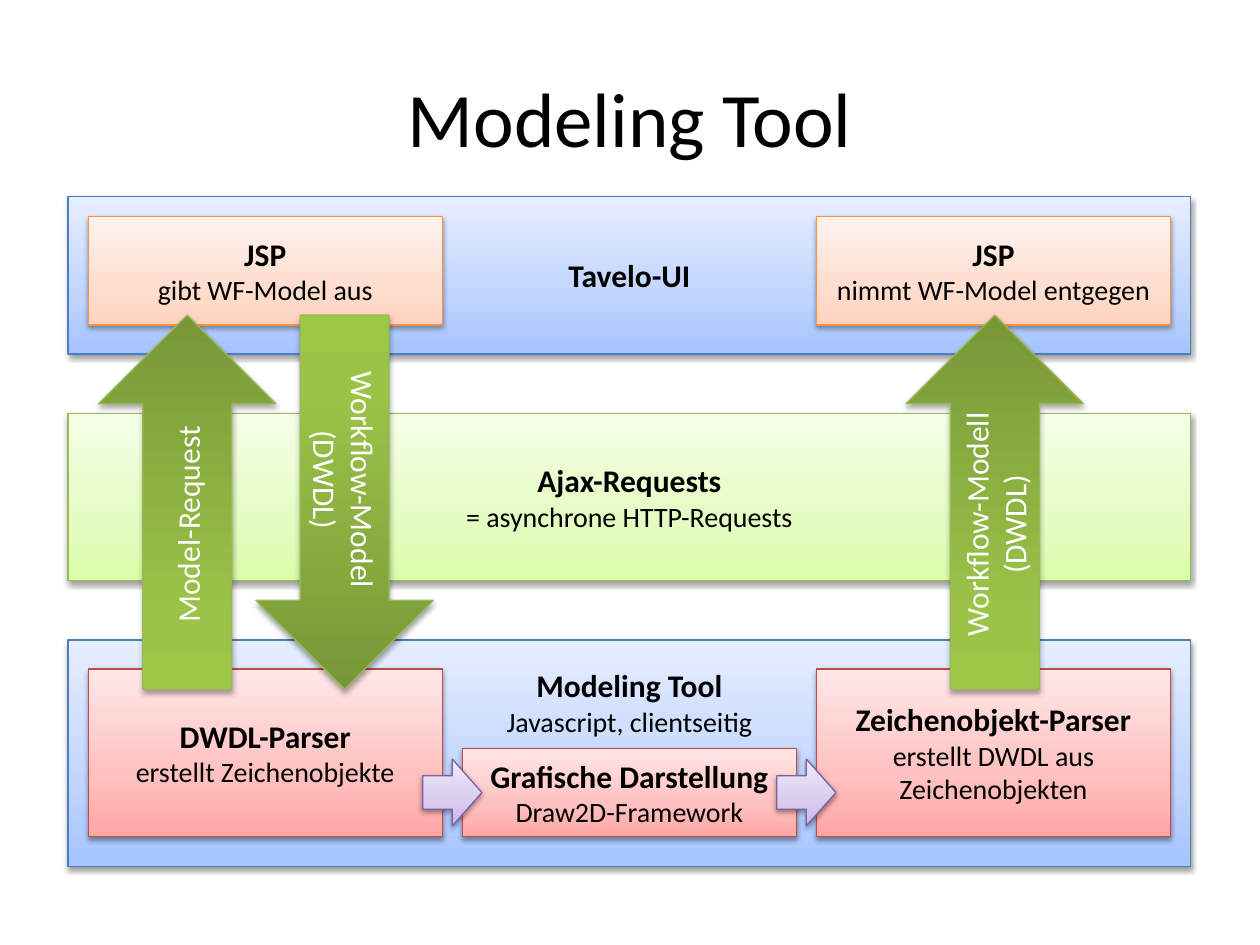
from collections import namedtuple

from lxml import etree
from pptx import Presentation
from pptx.dml.color import RGBColor
from pptx.enum import shapes, text
from pptx.oxml import ns
from pptx.util import Inches, Pt

Box = namedtuple("Box", "left top width height")
Style = namedtuple("Style", "stops line shadow_alpha shadow_distance")

BLACK = RGBColor(0x00, 0x00, 0x00)
WHITE = RGBColor(0xFF, 0xFF, 0xFF)


def pale_style(dark, middle, light, line):
    stops = ((0, RGBColor.from_string(dark)), (35, RGBColor.from_string(middle)),
             (100, RGBColor.from_string(light)))
    return Style(stops, RGBColor.from_string(line), 38, 1.6)


BLUE = pale_style("A4C4FF", "BFD4FF", "E6EEFF", "4B7EBC")
GREEN = pale_style("DAFDA7", "E4FCC2", "F5FFE7", "98B955")
RED = pale_style("FFA6A5", "FFC0BF", "FFE7E7", "BF4C48")
ORANGE = pale_style("FFD2BD", "FFDED0", "FFF2ED", "F69240")
PURPLE = pale_style("C9B5E8", "D8CBEE", "F0EAF9", "7D60A0")
TRANSFER = Style(((0, RGBColor(0x77, 0x97, 0x37)), (80, RGBColor(0x9B, 0xC3, 0x48)),
                  (100, RGBColor(0x9D, 0xC7, 0x46))),
                 RGBColor(0x98, 0xB9, 0x55), 35, 1.8)

INSET = Inches(0.16)
PANEL_WIDTH = Inches(2.81)


def add_color(parent, color, alpha=None):
    element = etree.SubElement(parent, ns.qn("a:srgbClr"), val=str(color))
    if alpha is not None:
        etree.SubElement(element, ns.qn("a:alpha"), val=str(alpha * 1000))


def apply_style(shape, style):
    shape.fill.gradient()
    shape.fill.gradient_angle = 90
    properties = shape.element.spPr
    stop_list = properties.find(".//" + ns.qn("a:gsLst"))
    for stop in list(stop_list):
        stop_list.remove(stop)
    for position, color in style.stops:
        stop = etree.SubElement(stop_list, ns.qn("a:gs"), pos=str(position * 1000))
        add_color(stop, color)
    shape.line.color.rgb = style.line
    shape.line.width = Pt(0.75)
    shape.shadow.inherit = False
    shadow = etree.SubElement(
        properties.find(ns.qn("a:effectLst")), ns.qn("a:outerShdw"),
        blurRad=str(Pt(3.1)), dist=str(Pt(style.shadow_distance)),
        dir="5400000", rotWithShape="0")
    add_color(shadow, BLACK, style.shadow_alpha)


def add_styled_shape(slide, kind, box, style):
    shape = slide.shapes.add_shape(kind, *box)
    apply_style(shape, style)
    return shape


def write_lines(shape, lines, color):
    frame = shape.text_frame
    frame.word_wrap = True
    frame.vertical_anchor = text.MSO_ANCHOR.MIDDLE
    for index, (line, size, bold) in enumerate(lines):
        paragraph = frame.add_paragraph() if index else frame.paragraphs[0]
        paragraph.text = line
        paragraph.alignment = text.PP_ALIGN.CENTER
        paragraph.font.name = "Calibri"
        paragraph.font.size = Pt(size)
        paragraph.font.bold = bold
        paragraph.font.color.rgb = color


def add_panel(slide, box, style, heading, detail=None):
    shape = add_styled_shape(slide, shapes.MSO_SHAPE.RECTANGLE, box, style)
    lines = [(heading, 18, True)]
    if detail:
        lines.append((detail, 16, False))
    write_lines(shape, lines, BLACK)
    return shape


def side_boxes(box, offset, height):
    left = box.left + INSET
    right = box.left + box.width - INSET - PANEL_WIDTH
    return [Box(x, box.top + offset, PANEL_WIDTH, height) for x in (left, right)]


def add_title(slide, box):
    title = slide.shapes.title
    title.left, title.top, title.width, title.height = box
    write_lines(title, [("Modeling Tool", 44, False)], BLACK)


def add_ui_layer(slide, box):
    add_panel(slide, box, BLUE, "Tavelo-UI")
    details = ("gibt WF-Model aus", "nimmt WF-Model entgegen")
    for panel_box, detail in zip(side_boxes(box, INSET, Inches(0.86)), details):
        add_panel(slide, panel_box, ORANGE, "JSP", detail)


def add_request_layer(slide, box):
    add_panel(slide, box, GREEN, "Ajax-Requests", "= asynchrone HTTP-Requests")


def add_modeling_layer(slide, box):
    layer = add_panel(slide, box, BLUE, "Modeling Tool", "Javascript, clientseitig")
    layer.text_frame.vertical_anchor = text.MSO_ANCHOR.TOP
    layer.text_frame.margin_top = Inches(0.21)

    left, right = side_boxes(box, Inches(0.23), Inches(1.33))
    add_panel(slide, left, RED, "DWDL-Parser", "erstellt Zeichenobjekte")
    add_panel(slide, right, RED, "Zeichenobjekt-Parser",
              "erstellt DWDL aus Zeichenobjekten")

    height = Inches(0.7)
    start = left.left + left.width + INSET
    center = Box(start, left.top + left.height - height,
                 right.left - INSET - start, height)
    add_panel(slide, center, RED, "Grafische Darstellung", "Draw2D-Framework")

    arrow_width, arrow_height = Inches(0.47), Inches(0.53)
    arrow_top = center.top + (center.height - arrow_height) // 2
    for gap_center in (start - INSET // 2, right.left - INSET // 2):
        arrow_box = Box(gap_center - arrow_width // 2, arrow_top,
                        arrow_width, arrow_height)
        add_styled_shape(slide, shapes.MSO_SHAPE.RIGHT_ARROW, arrow_box, PURPLE)


def add_transfer_arrow(slide, box, lines, upward):
    arrow = add_styled_shape(slide, shapes.MSO_SHAPE.DOWN_ARROW, box, TRANSFER)
    if upward:
        arrow.rotation = 180
    write_lines(arrow, [(line, 18, False) for line in lines], WHITE)
    arrow.text_frame._txBody.bodyPr.set("vert", "vert")


def add_transfers(slide, box):
    transfers = (
        (0, ["Model-Request"], True),
        (1.25, ["Workflow-Model", "(DWDL)"], False),
        (6.41, ["Workflow-Modell", "(DWDL)"], True),
    )
    for offset, lines, upward in transfers:
        arrow_box = Box(box.left + Inches(offset), box.top, Inches(1.41), box.height)
        add_transfer_arrow(slide, arrow_box, lines, upward)


def inch_box(*lengths):
    return Box(*(Inches(length) for length in lengths))


def main():
    presentation = Presentation()
    presentation.slide_width = Inches(10)
    presentation.slide_height = Inches(7.5)
    slide = presentation.slides.add_slide(presentation.slide_layouts[5])
    add_title(slide, inch_box(0.5, 0.3, 9, 1.25))
    add_ui_layer(slide, inch_box(0.54, 1.56, 8.91, 1.25))
    add_request_layer(slide, inch_box(0.54, 3.28, 8.91, 1.33))
    add_modeling_layer(slide, inch_box(0.54, 5.08, 8.91, 1.8))
    add_transfers(slide, inch_box(0.78, 2.5, 7.82, 2.97))
    presentation.save("out.pptx")


if __name__ == "__main__":
    main()
